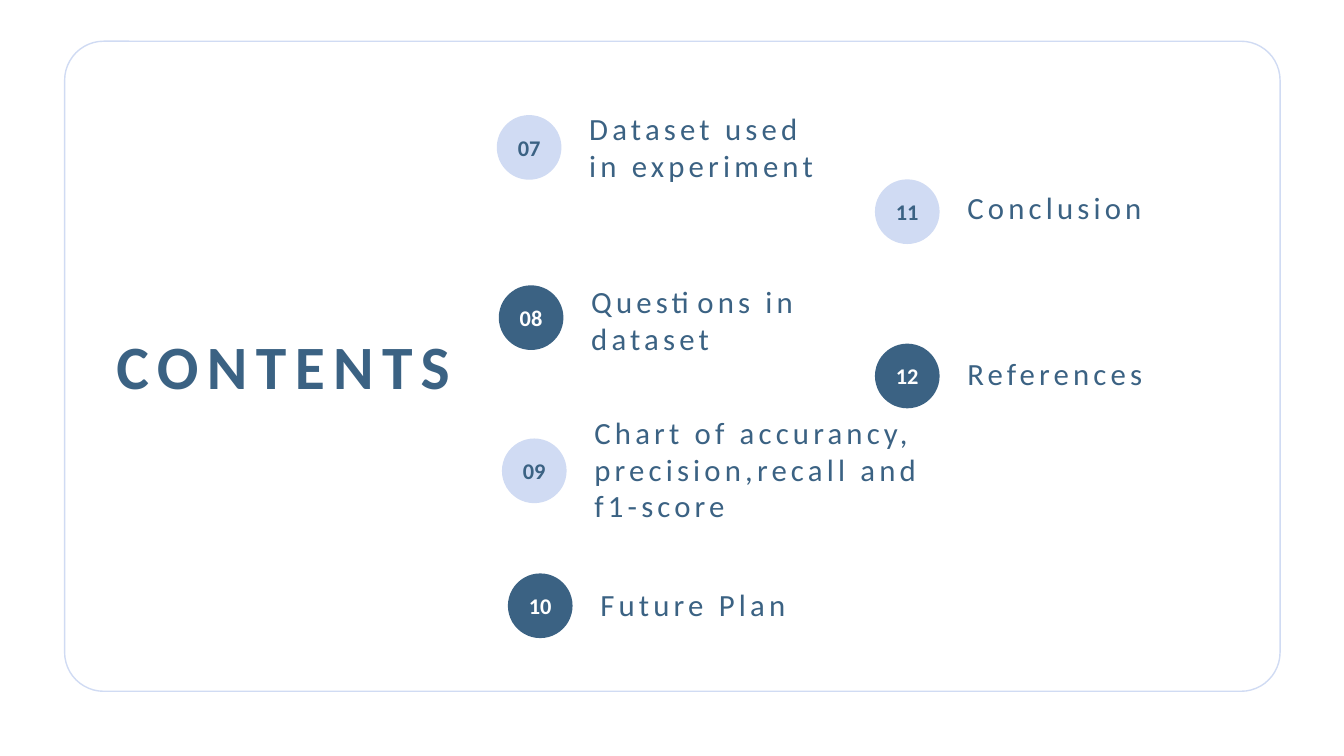
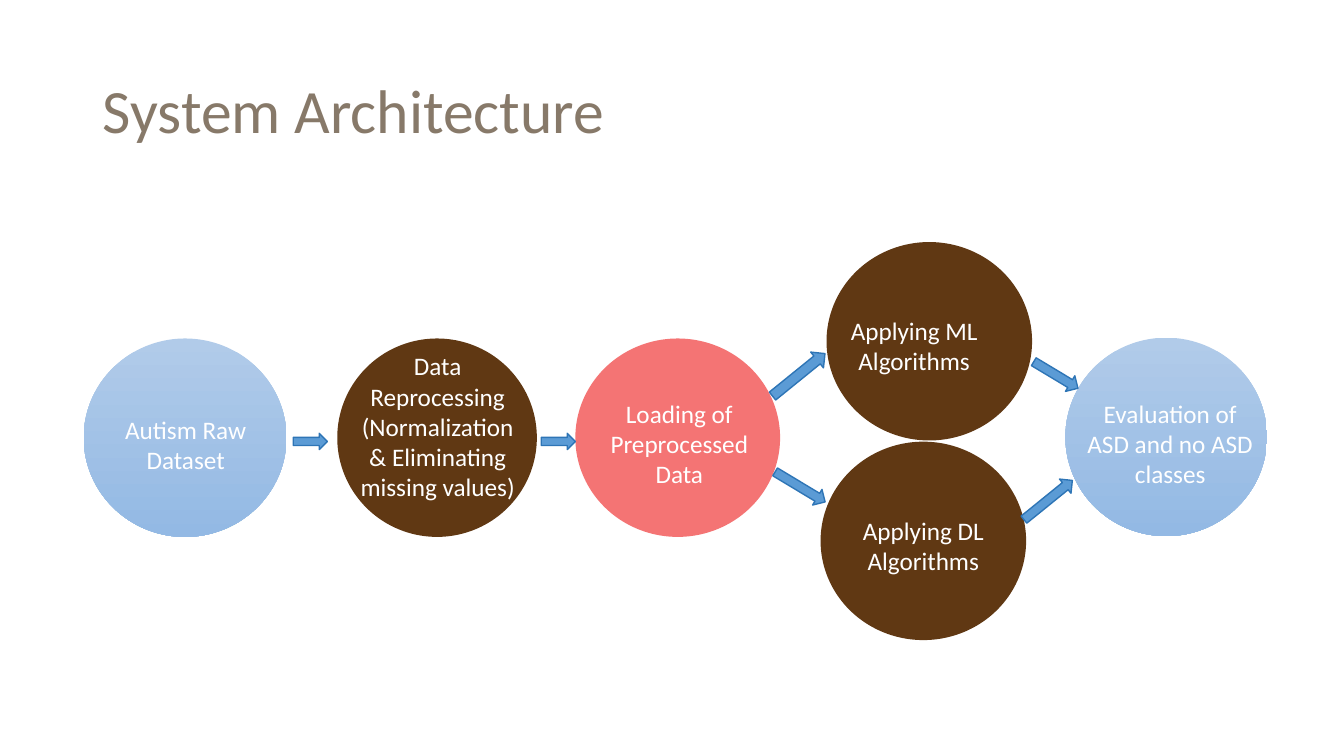
import pptx
import pptx.util
import pptx.dml.color
import pptx.enum.shapes
import pptx.enum.text

Cm = pptx.util.Cm
Pt = pptx.util.Pt
MSO = pptx.enum.shapes.MSO_SHAPE
ALIGN = pptx.enum.text.PP_ALIGN
MIDDLE = pptx.enum.text.MSO_ANCHOR.MIDDLE
rgb = pptx.dml.color.RGBColor.from_string

FONT = "Calibri"
WHITE, NAVY, PALE = "FFFFFF", "3B6283", "D0DBF3"
BROWN, CORAL, TAUPE = "603813", "F47474", "877969"
ARROW, ARROW_LINE = "5B9BD5", "2E75B6"
SKY = ("B1CBE9", "93B9E4")


def add_shape(s, kind, box, fill, line=None):
    sp = s.shapes.add_shape(kind, *map(Cm, box))
    sp.shadow.inherit = False
    if isinstance(fill, tuple):
        sp.fill.gradient()
        sp.fill.gradient_angle = 270
        for stop, colour in zip(sp.fill.gradient_stops, fill):
            stop.color.rgb = rgb(colour)
    else:
        sp.fill.solid()
        sp.fill.fore_color.rgb = rgb(fill)
    if line:
        sp.line.color.rgb = rgb(line)
        sp.line.width = Pt(1)
    else:
        sp.line.fill.background()
    return sp


def write(sp, text, size, colour, align=ALIGN.CENTER, bold=False, spacing=0):
    tf = sp.text_frame
    tf.word_wrap = True
    tf.text = text
    for p in tf.paragraphs:
        p.alignment = align
        for r in p.runs:
            r.font.name = FONT
            r.font.size = Pt(size)
            r.font.bold = bold
            r.font.color.rgb = rgb(colour)
            if spacing:
                r._r.get_or_add_rPr().set("spc", str(spacing * 100))
    return tf


prs = pptx.Presentation()
prs.slide_width = Cm(33.87)
prs.slide_height = Cm(19.05)
blank = prs.slide_layouts[6]

s = prs.slides.add_slide(blank)
frame = add_shape(s, MSO.ROUNDED_RECTANGLE, (1.63, 1.04, 30.63, 16.38), WHITE, PALE)
frame.adjustments[0] = 0.06
heading = s.shapes.add_textbox(Cm(0.3), Cm(8.15), Cm(13.68), Cm(2.13))
write(heading, "CONTENTS", 44, NAVY, bold=True, spacing=6)

FIRST_NUMBER, BADGE, TEXT_OFFSET = 7, 1.63, 2.08
entries = [
    (12.52, 2.9, 2.64, "Dataset used\nin experiment"),
    (12.57, 7.19, 6.99, "Questions in\ndataset"),
    (12.65, 11.05, 10.29, "Chart of accurancy,\nprecision,recall and\nf1-score"),
    (12.8, 14.45, 14.63, "Future Plan"),
    (22.05, 4.52, 4.62, "Conclusion"),
    (22.05, 8.66, 8.81, "References"),
]
for i, (left, top, text_top, label) in enumerate(entries):
    fill, colour = ((PALE, NAVY), (NAVY, WHITE))[i % 2]
    badge = add_shape(s, MSO.OVAL, (left, top, BADGE, BADGE), fill)
    tf = write(badge, f"{FIRST_NUMBER + i:02d}", 16, colour, bold=True)
    tf.vertical_anchor = MIDDLE
    tf.margin_left = tf.margin_right = 0
    height = 0.25 + 0.95 * len(label.split("\n"))
    tb = s.shapes.add_textbox(Cm(left + TEXT_OFFSET), Cm(text_top), Cm(9), Cm(height))
    write(tb, label, 22, NAVY, ALIGN.LEFT, spacing=3)

s = prs.slides.add_slide(blank)
title = s.shapes.add_textbox(Cm(2.34), Cm(1.02), Cm(29.21), Cm(3.68))
tf = write(title, "System Architecture", 44, TAUPE, ALIGN.LEFT)
tf.vertical_anchor = MIDDLE
tf.paragraphs[0].line_spacing = 0.9

STEP_HEIGHT, LABEL_WIDTH = 5, 4.78
steps = [
    (2.11, 8.53, 5.11, SKY, 2.29, 10.31, 1.8, "Autism Raw Dataset"),
    (8.5, 8.53, 5.03, BROWN, 8.64, 8.71, 4.09,
     "Data Reprocessing\n(Normalization & Eliminating missing values)"),
    (14.5, 8.53, 5.16, CORAL, 14.73, 9.91, 2.57, "Loading of Preprocessed Data"),
    (20.68, 11.13, 5.18, BROWN, 20.88, 12.85, 1.8, "Applying DL Algorithms"),
    (20.83, 6.1, 5.18, BROWN, 20.65, 7.82, 1.8, "Applying ML Algorithms"),
    (26.85, 8.51, 5.08, SKY, 27.1, 9.91, 2.57, "Evaluation of ASD and no ASD classes"),
]
for left, top, width, fill, text_left, text_top, text_height, label in steps:
    add_shape(s, MSO.OVAL, (left, top, width, STEP_HEIGHT), fill)
    tb = s.shapes.add_textbox(Cm(text_left), Cm(text_top), Cm(LABEL_WIDTH), Cm(text_height))
    write(tb, label, 18, WHITE)

arrows = [
    (7.39, 10.92, 0.86, 0.41, 0),
    (13.64, 10.92, 0.86, 0.41, 0),
    (19.43, 12.04, 1.47, 0.46, 31),
    (19.28, 9.19, 1.7, 0.51, 321),
    (25.63, 12.37, 1.57, 0.46, 321),
    (25.96, 9.22, 1.3, 0.46, 31),
]
for *box, angle in arrows:
    sp = add_shape(s, MSO.RIGHT_ARROW, box, ARROW, ARROW_LINE)
    sp.rotation = angle

prs.save("out.pptx")
